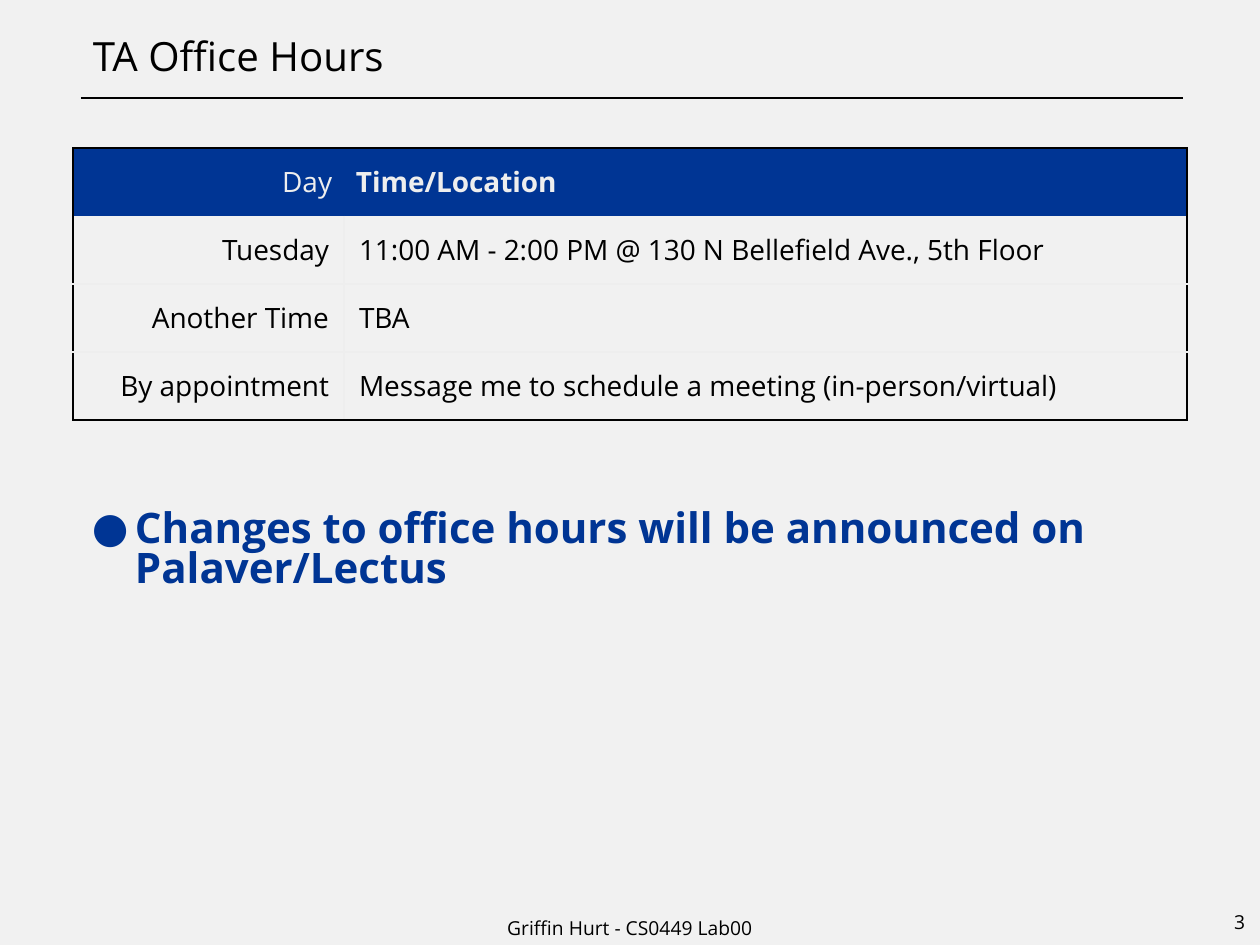
import lxml.etree
import pptx
import pptx.dml.color
import pptx.enum.shapes
import pptx.enum.text
import pptx.oxml.ns
import pptx.util

RGB = pptx.dml.color.RGBColor
ALIGN = pptx.enum.text.PP_ALIGN
ANCHOR = pptx.enum.text.MSO_ANCHOR
BLACK = RGB(0x00, 0x00, 0x00)
BLUE = RGB(0x00, 0x35, 0x94)
PALE = RGB(0xEE, 0xEE, 0xEE)
PAPER = RGB(0xF1, 0xF1, 0xF1)
FONT = "Open Sans"
PX_PER_INCH = 126

OFFICE_HOURS = [
    ("Day", "Time/Location"),
    ("Tuesday", "11:00 AM - 2:00 PM @ 130 N Bellefield Ave., 5th Floor"),
    ("Another Time", "TBA"),
    ("By appointment", "Message me to schedule a meeting (in-person/virtual)"),
]
COLUMN_WIDTHS = (271, 843)
ROW_HEIGHT = 68


def px(length):
    return pptx.util.Emu(round(length * 914400 / PX_PER_INCH))


def add_element(parent, tag, **attributes):
    return lxml.etree.SubElement(parent, pptx.oxml.ns.qn(tag), attributes)


def set_insets(holder, left, top, right, bottom):
    holder.margin_left, holder.margin_top = px(left), px(top)
    holder.margin_right, holder.margin_bottom = px(right), px(bottom)


def format_text(paragraph, size, color=BLACK, bold=False, align=ALIGN.LEFT):
    paragraph.alignment = align
    for run in paragraph.runs:
        run.font.name = FONT
        run.font.size = pptx.util.Pt(size)
        run.font.bold = bold
        run.font.color.rgb = color


def fill_frame(shape, text, insets, anchor):
    frame = shape.text_frame
    frame.word_wrap = True
    frame.vertical_anchor = anchor
    set_insets(frame, *insets)
    frame.text = text
    return frame.paragraphs[0]


def add_title(slide, text):
    title = slide.shapes.title
    title.left, title.top, title.width, title.height = px(78), px(4), px(1103), px(91)
    paragraph = fill_frame(title, text, (15, 15, 15, 15), ANCHOR.BOTTOM)
    paragraph.line_spacing = 0.9
    format_text(paragraph, 23)


def add_title_rule(slide):
    rule = slide.shapes.add_connector(
        pptx.enum.shapes.MSO_CONNECTOR.STRAIGHT, px(81), px(98), px(1183), px(98))
    rule.line.color.rgb = BLACK
    rule.line.width = pptx.util.Pt(1.5)
    add_element(rule._element.spPr, "a:effectLst")


def add_announcement(slide, text):
    box = slide.shapes.add_textbox(px(78), px(493), px(1101), px(210))
    paragraph = fill_frame(box, text, (14, 19, 14, 14), ANCHOR.TOP)
    paragraph.line_spacing = 0.79
    properties = paragraph._p.get_or_add_pPr()
    properties.set("marL", str(px(43)))
    properties.set("indent", str(-px(43)))
    add_element(properties, "a:buFont", typeface=FONT)
    add_element(properties, "a:buChar", char="●")
    format_text(paragraph, 24, BLUE, bold=True)


def add_footer(slide, text, box, insets, align):
    footer = slide.shapes.add_textbox(*map(px, box))
    format_text(fill_frame(footer, text, insets, ANCHOR.BOTTOM), 11, align=align)


def set_borders(cell, colors):
    """Draw the left, right, top and bottom borders; None leaves a side bare."""
    properties = cell._tc.get_or_add_tcPr()
    for position, (side, color) in enumerate(zip("LRTB", colors)):
        border = add_element(properties, f"a:ln{side}", w=str(pptx.util.Pt(1)))
        if color is None:
            add_element(border, "a:noFill")
        else:
            fill = add_element(border, "a:solidFill")
            add_element(fill, "a:srgbClr", val=str(color))
        properties.insert(position, border)


def format_cell(cell, text, row, column):
    header, first_column = row == 0, column == 0
    last_row = row == len(OFFICE_HOURS) - 1
    cell.text = text
    cell.vertical_anchor = ANCHOR.MIDDLE
    set_insets(cell, *((12, 6, 12, 6) if header else (15, 8, 15, 8)))
    if header:
        cell.fill.solid()
        cell.fill.fore_color.rgb = BLUE
    else:
        cell.fill.background()
    format_text(cell.text_frame.paragraphs[0], 16, PALE if header else BLACK,
                bold=header and not first_column,
                align=ALIGN.RIGHT if first_column else ALIGN.LEFT)
    inner = None if header else PALE
    set_borders(cell, (
        BLACK if first_column else inner,
        inner if first_column else BLACK,
        BLACK if header else None if row == 1 else PALE,
        BLACK if last_row else inner,
    ))


def add_hours_table(slide):
    table = slide.shapes.add_table(
        len(OFFICE_HOURS), len(COLUMN_WIDTHS), px(73), px(148),
        px(sum(COLUMN_WIDTHS)), px(ROW_HEIGHT * len(OFFICE_HOURS))).table
    table.horz_banding = False
    for column, width in zip(table.columns, COLUMN_WIDTHS):
        column.width = px(width)
    for row, texts in enumerate(OFFICE_HOURS):
        table.rows[row].height = px(ROW_HEIGHT)
        for column, text in enumerate(texts):
            format_cell(table.cell(row, column), text, row, column)


def main():
    deck = pptx.Presentation()
    deck.slide_width, deck.slide_height = px(1260), px(945)
    slide = deck.slides.add_slide(deck.slide_layouts[5])
    slide.background.fill.solid()
    slide.background.fill.fore_color.rgb = PAPER
    add_title_rule(slide)
    add_title(slide, "TA Office Hours")
    add_announcement(slide, "Changes to office hours will be announced on Palaver/Lectus")
    add_footer(slide, "3", (1129, 891, 131, 54), (15, 15, 15, 15), ALIGN.RIGHT)
    add_footer(slide, "Griffin Hurt - CS0449 Lab00", (417, 895, 426, 50),
               (13, 6, 13, 6), ALIGN.CENTER)
    add_hours_table(slide)
    deck.save("out.pptx")


if __name__ == "__main__":
    main()
